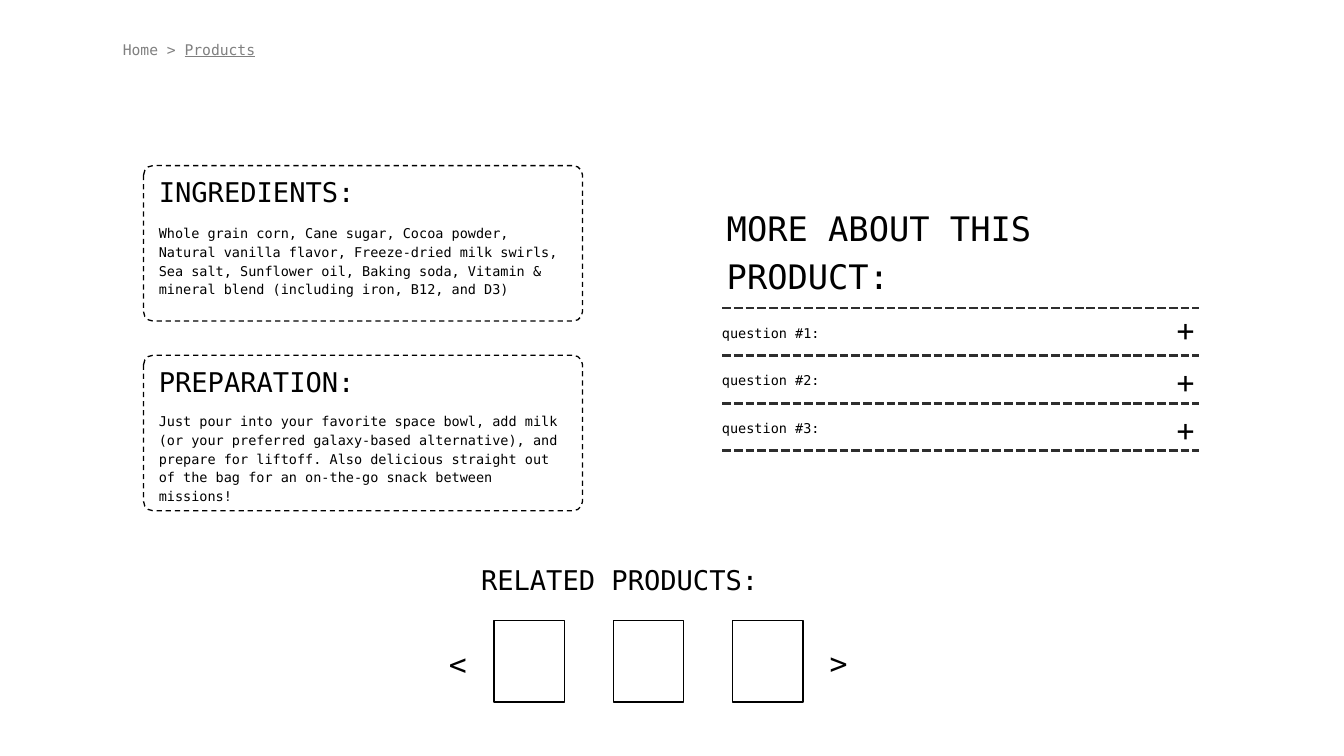
import pptx
import pptx.util
import pptx.dml.color
import pptx.enum.dml
import pptx.enum.shapes
import pptx.enum.text
import pptx.oxml.ns
import lxml.etree

Pt = pptx.util.Pt
SHAPE = pptx.enum.shapes.MSO_SHAPE
DASH = pptx.enum.dml.MSO_LINE
ALIGN = pptx.enum.text.PP_ALIGN
FONT = "DejaVu Sans Mono"


def color(code):
    return pptx.dml.color.RGBColor.from_string(code)


def write(box, runs, size, pitch, ink="000000", align=ALIGN.LEFT):
    """Fill a text box with one paragraph of (text, underline) runs."""
    frame = box.text_frame
    frame.margin_left = frame.margin_right = 0
    frame.margin_top = frame.margin_bottom = 0
    frame.word_wrap = True
    frame.auto_size = pptx.enum.text.MSO_AUTO_SIZE.NONE
    frame.vertical_anchor = pptx.enum.text.MSO_ANCHOR.TOP
    para = frame.paragraphs[0]
    para.alignment = align
    para.line_spacing = Pt(pitch)
    para.space_before = Pt(0)
    for text, under in runs:
        run = para.add_run()
        run.text = text
        run.font.name = FONT
        run.font.size = Pt(size)
        run.font.color.rgb = color(ink)
        if under:
            run.font.underline = True


deck = pptx.Presentation()
deck.slide_width, deck.slide_height = Pt(1024), Pt(576)
slide = deck.slides.add_slide(deck.slide_layouts[5])
shapes = slide.shapes

# Breadcrumb
box = shapes.add_textbox(Pt(93.6), Pt(28.8), Pt(129), Pt(15))
write(box, [("Home > ", False), ("Products", True)], 11.2, 15.7, "808080")

# Dashed cards: card top, heading, body top, body
cards = [
    (126.2, "INGREDIENTS:", 169.2,
     "Whole grain corn, Cane sugar, Cocoa powder, Natural vanilla flavor, "
     "Freeze-dried milk swirls, Sea salt, Sunflower oil, Baking soda, "
     "Vitamin & mineral blend (including iron, B12, and D3)"),
    (270.7, "PREPARATION:", 312.5,
     "Just pour into your favorite space bowl, add milk (or your preferred "
     "galaxy-based alternative), and prepare for liftoff. Also delicious "
     "straight out of the bag for an on-the-go snack between missions!"),
]
for top, head, low, body in cards:
    card = shapes.add_shape(SHAPE.ROUNDED_RECTANGLE,
                            Pt(109.4), Pt(top), Pt(334.4), Pt(118.4))
    card.adjustments[0] = 0.06
    card.shadow.inherit = False
    card.fill.solid()
    card.fill.fore_color.rgb = color("FFFFFF")
    card.line.color.rgb = color("000000")
    card.line.width = Pt(1)
    card.line.dash_style = DASH.DASH
    box = shapes.add_textbox(Pt(121), Pt(top + 3.6), Pt(193), Pt(27.4))
    write(box, [(head, False)], 20.7, 28.9)
    box = shapes.add_textbox(Pt(121), Pt(low), Pt(316), Pt(72))
    write(box, [(body, False)], 10.3, 14.4)

# Title of the question list
title = shapes.title
title.left, title.top, title.width, title.height = (
    Pt(553.7), Pt(153.4), Pt(360), Pt(69))
write(title, [("MORE ABOUT THIS PRODUCT:", False)], 25.7, 36)

# Dashed rules
left, right, first, step = 550.1, 913.7, 234.7, 36.25
for i in range(4):
    y = Pt(first + i * step)
    rule = shapes.add_connector(pptx.enum.shapes.MSO_CONNECTOR.STRAIGHT,
                                Pt(left), y, Pt(right), y)
    rule.line.color.rgb = color("2E2E2E")
    rule.line.width = Pt(2.25)
    rule.line.dash_style = DASH.SQUARE_DOT
    lxml.etree.SubElement(rule._element.spPr, pptx.oxml.ns.qn("a:effectLst"))

# Questions between the rules
for i in range(3):
    box = shapes.add_textbox(Pt(left), Pt(first + i * step + 10.8),
                             Pt(316), Pt(13))
    write(box, [(f"question #{i + 1}:", False)], 10.3, 14.4)

# Related products
box = shapes.add_textbox(Pt(366.5), Pt(425.5), Pt(264), Pt(27.4))
write(box, [("RELATED PRODUCTS:", False)], 20.7, 28.9)
for i in range(3):
    tile = shapes.add_shape(SHAPE.RECTANGLE, Pt(376.4 + i * 90.8), Pt(473),
                            Pt(53.8), Pt(62))
    tile.shadow.inherit = False
    tile.fill.background()
    tile.line.color.rgb = color("000000")
    tile.line.width = Pt(1)

# Plus signs and carousel arrows
signs = [("+", 895, 233.3), ("+", 895, 272.9), ("+", 895, 308.9),
         (">", 630.7, 486.7), ("<", 340.6, 487.4)]
for sign, x, y in signs:
    box = shapes.add_textbox(Pt(x), Pt(y), Pt(16.6), Pt(31))
    write(box, [(sign, False)], 22.7, 31.8, align=ALIGN.CENTER)

deck.save("out.pptx")
